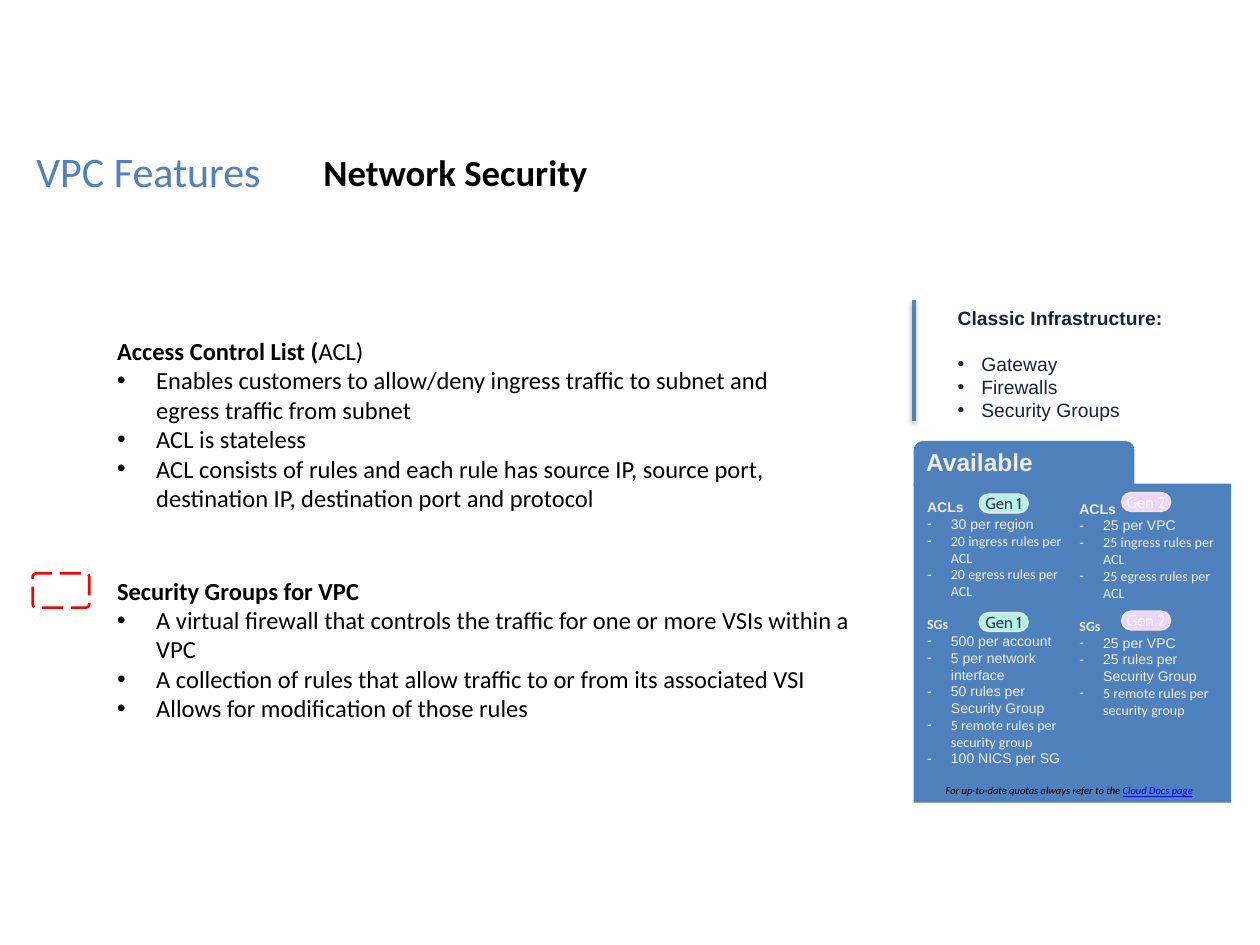
import dataclasses

import lxml.etree
import pptx
import pptx.dml.color
import pptx.enum.dml
import pptx.enum.shapes
import pptx.enum.text
import pptx.oxml
import pptx.oxml.ns
import pptx.util

Cm = pptx.util.Cm
Pt = pptx.util.Pt
SHAPE = pptx.enum.shapes.MSO_SHAPE
ALIGN = pptx.enum.text.PP_ALIGN
ANCHOR = pptx.enum.text.MSO_ANCHOR
qn = pptx.oxml.ns.qn

COLORS = {
    "blue": "4F81BD", "navy": "0F243E", "cream": "EEECE1", "black": "000000",
    "white": "FFFFFF", "mint": "B3F2E4", "lilac": "EED4FE", "plum": "403152",
    "red": "FF0000", "link": "0000FF",
}


@dataclasses.dataclass
class Line:
    text: str
    font: str = ""
    bold: bool = False
    bullet: str = ""
    before: float = 0
    tail: str = ""


class Deck:
    """Holds the slide style and the current slide, and draws each kind of element."""

    def __init__(self):
        self.prs = pptx.Presentation()
        self.prs.slide_width, self.prs.slide_height = Cm(25.4), Cm(19.05)
        self.s = self.prs.slides.add_slide(self.prs.slide_layouts[1])

    def rgb(self, name):
        return pptx.dml.color.RGBColor.from_string(COLORS[name])

    def place(self, sp, box):
        sp.left, sp.top, sp.width, sp.height = map(Cm, box)
        return sp

    def indent(self, p, bullet, width):
        pPr = p._p.get_or_add_pPr()
        pPr.set("marL", str(Cm(width) if bullet else 0))
        pPr.set("indent", str(-Cm(width) if bullet else 0))
        if bullet:
            lxml.etree.SubElement(pPr, qn("a:buFont")).set("typeface", "Arial")
            lxml.etree.SubElement(pPr, qn("a:buChar")).set("char", bullet)
        else:
            lxml.etree.SubElement(pPr, qn("a:buNone"))

    def fill_text(self, sp, lines, size, color, font="Calibri", indent=0.48,
                  spacing=1.0, align=ALIGN.LEFT, anchor=ANCHOR.TOP, wrap=True, inset=True):
        tf = sp.text_frame
        tf.word_wrap = wrap
        tf.auto_size = pptx.enum.text.MSO_AUTO_SIZE.NONE
        tf.vertical_anchor = anchor
        if not inset:
            tf.margin_left = tf.margin_right = tf.margin_top = tf.margin_bottom = 0
        tf.text = "\n".join(line.text for line in lines)
        for p, line in zip(tf.paragraphs, lines):
            self.indent(p, line.bullet, indent)
            p.alignment, p.line_spacing = align, spacing
            p.space_before, p.space_after = Pt(line.before), Pt(0)
            if line.tail:
                p.add_run().text = line.tail
            for r in p.runs:
                r.font.name, r.font.size = line.font or font, Pt(size)
                r.font.bold = line.bold
                r.font.color.rgb = self.rgb(color)
        return tf

    def title(self, box, text, size, color):
        sp = self.place(self.s.shapes.title, box)
        self.fill_text(sp, [Line(text)], size, color, spacing=0.9)

    def body(self, box, lines, size, color, font):
        sp = self.place(self.s.placeholders[1], box)
        self.fill_text(sp, lines, size, color, font)

    def text(self, box, lines, size, color, **style):
        sp = self.s.shapes.add_textbox(*map(Cm, box))
        return self.fill_text(sp, lines, size, color, **style)

    def shape(self, kind, box, fill=None, line=None, width=0.75, adj=None):
        sp = self.s.shapes.add_shape(kind, *map(Cm, box))
        sp.shadow.inherit = False
        if adj is not None:
            sp.adjustments[0] = adj
        if fill:
            sp.fill.solid()
            sp.fill.fore_color.rgb = self.rgb(fill)
        else:
            sp.fill.background()
        if line:
            sp.line.color.rgb = self.rgb(line)
            sp.line.width = Pt(width)
        else:
            sp.line.fill.background()
        return sp

    def pill(self, left, top, text, fill, color):
        sp = self.shape(SHAPE.ROUNDED_RECTANGLE, (left, top, 0.99, 0.38), fill, "cream", adj=0.5)
        self.fill_text(sp, [Line(text)], 9, color, font="Cabin", align=ALIGN.CENTER,
                       anchor=ANCHOR.MIDDLE, inset=False)

    def rule(self, x, top, bottom, color, width):
        cx = self.s.shapes.add_connector(
            pptx.enum.shapes.MSO_CONNECTOR.STRAIGHT, Cm(x), Cm(top), Cm(x), Cm(bottom))
        cx.line.color.rgb = self.rgb(color)
        cx.line.width = Pt(width)
        effects = lxml.etree.SubElement(cx._element.spPr, qn("a:effectLst"))
        shadow = lxml.etree.SubElement(
            effects, qn("a:outerShdw"), blurRad=str(Pt(3.1)), dist=str(Pt(1.6)),
            dir="5400000", rotWithShape="0")
        tint = lxml.etree.SubElement(shadow, qn("a:srgbClr"), val=COLORS["black"])
        lxml.etree.SubElement(tint, qn("a:alpha"), val="38000")


def dot(text, before=0):
    return Line(text, bullet="•", before=before)


def dash(text, font="Arial"):
    return Line(text, font, bullet="-")


def quota(acls, groups):
    return [Line("ACLs", "Arial", True), *acls, Line("SGs", bold=True, before=9.4), *groups]


def main():
    d = Deck()
    d.title((0.48, 2.92, 7.75, 1.32), "VPC Features", 24, "blue")
    d.text((6.27, 3, 19.53, 1.32), [Line("Network Security", bold=True)], 21, "black", spacing=0.9)

    d.body((19.05, 6.05, 5.77, 6.22), [
        Line("Classic Infrastructure:", bold=True),
        dot("Gateway", 13), dot("Firewalls"), dot("Security Groups"),
    ], 11, "navy", "Arial")
    d.rule(18.42, 6.05, 8.48, "blue", 2)

    tf = d.text((2.11, 6.65, 14.88, 3.84), [
        Line("Access Control List (", bold=True, tail="ACL)"),
        dot("Enables customers to allow/deny ingress traffic to subnet and egress traffic from subnet"),
        dot("ACL is stateless"),
        dot("ACL consists of rules and each rule has source IP, source port, "
            "destination IP, destination port and protocol"),
    ], 14, "black", indent=0.79)
    tf.paragraphs[0].runs[1].font.bold = False
    d.text((2.11, 11.48, 15.88, 3.25), [
        Line("Security Groups for VPC", bold=True),
        dot("A virtual firewall that controls the traffic for one or more VSIs within a VPC"),
        dot("A collection of rules that allow traffic to or from its associated VSI"),
        dot("Allows for modification of those rules"),
    ], 14, "black", indent=0.79)
    sp = d.shape(SHAPE.ROUNDED_RECTANGLE, (0.66, 11.56, 1.14, 0.69), line="red", width=1.5, adj=0.1)
    sp.line.dash_style = pptx.enum.dml.MSO_LINE.LONG_DASH

    d.shape(SHAPE.RECTANGLE, (18.42, 9.75, 6.4, 6.43), "blue")
    d.shape(SHAPE.ROUNDED_RECTANGLE, (18.42, 8.89, 4.45, 1.07), "blue")
    d.text((18.42, 8.89, 2.67, 0.86), [Line("Available", bold=True)], 14, "cream",
           font="Arial", wrap=False)

    d.text((18.44, 9.93, 3.4, 6.07), quota(
        [dash("30 per region"), dash("20 ingress rules per ACL", "Calibri"),
         dash("20 egress rules per ACL", "Calibri")],
        [dash("500 per account"), dash("5 per network interface"),
         dash("50 rules per Security Group"),
         dash("5 remote rules per security group", "Calibri"), dash("100 NICS per SG")],
    ), 8, "cream")
    d.text((21.51, 9.96, 3.4, 5.05), quota(
        [dash("25 per VPC"), dash("25 ingress rules per ACL", "Calibri"),
         dash("25 egress rules per ACL", "Calibri")],
        [dash("25 per VPC"), dash("25 rules per Security Group"),
         dash("5 remote rules per security group", "Calibri")],
    ), 8, "cream")
    for top in (9.93, 12.32):
        d.pill(19.74, top + 0.03, "Gen 1", "mint", "plum")
        d.pill(22.61, top, "Gen 2", "lilac", "white")

    tf = d.text((6.27, 15.75, 17.78, 0.38), [
        Line("For up-to-date quotas always refer to the ", tail="Cloud Docs page"),
    ], 6, "black", align=ALIGN.RIGHT, anchor=ANCHOR.MIDDLE, inset=False)
    for r in tf.paragraphs[0].runs:
        r.font.italic = True
    r.font.underline = True
    r.font.color.rgb = d.rgb("link")

    d.prs.save("out.pptx")


if __name__ == "__main__":
    main()
